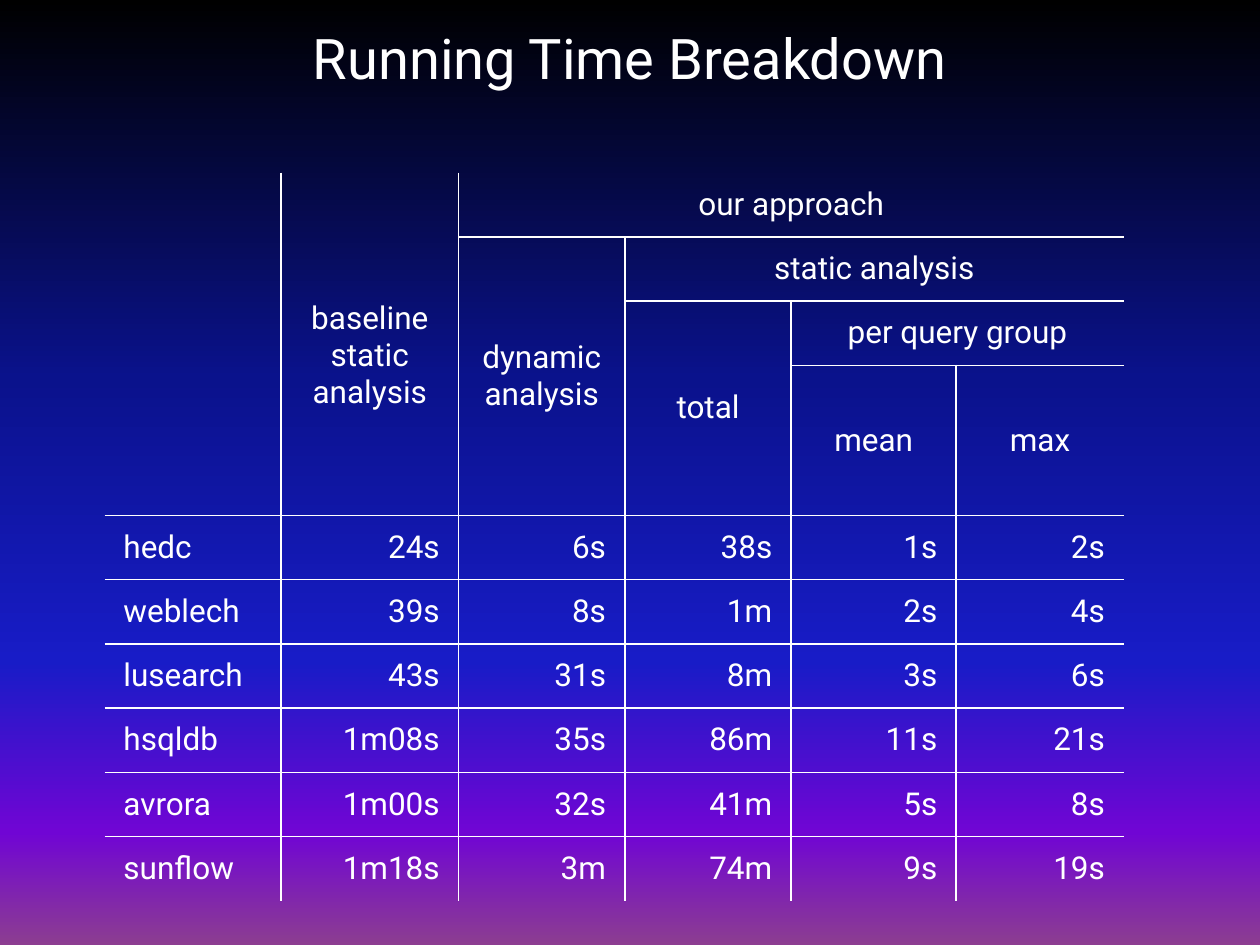
from lxml.etree import SubElement
from pptx import Presentation
from pptx.dml.color import RGBColor
from pptx.enum.text import MSO_ANCHOR as Anchor, PP_ALIGN as Align
from pptx.oxml.ns import qn
from pptx.util import Inches, Pt

WHITE = "FFFFFF"
NO_STYLE = "{2D5ABB26-0587-4C30-8999-92F81FD0307C}"
BACKDROP = [(0, "000000"), (40, "0A128C"), (70, "181CC7"), (88, "7005D4"), (100, "8C3D91")]
COLUMN_WIDTHS = [1.4, 1.41, 1.32, 1.32, 1.31, 1.33]
ROW_HEIGHTS = [0.51] * 3 + [1.19] + [0.51] * 6
HEADINGS = [
    (0, 0, 4, 1, ""),
    (0, 1, 4, 1, "baseline static analysis"),
    (0, 2, 1, 4, "our approach"),
    (1, 2, 3, 1, "dynamic\vanalysis"),
    (1, 3, 1, 3, "static analysis"),
    (2, 3, 2, 1, "total"),
    (2, 4, 1, 2, "per query group"),
    (3, 4, 1, 1, "mean"),
    (3, 5, 1, 1, "max"),
]
TIMINGS = [
    ("hedc", "24s", "6s", "38s", "1s", "2s"),
    ("weblech", "39s", "8s", "1m", "2s", "4s"),
    ("lusearch", "43s", "31s", "8m", "3s", "6s"),
    ("hsqldb", "1m08s", "35s", "86m", "11s", "21s"),
    ("avrora", "1m00s", "32s", "41m", "5s", "8s"),
    ("sunflow", "1m18s", "3m", "74m", "9s", "19s"),
]
CELL_FORMAT = {
    "margin_left": Inches(0.15),
    "margin_right": Inches(0.15),
    "margin_top": Inches(0.05),
    "margin_bottom": Inches(0.05),
    "vertical_anchor": Anchor.MIDDLE,
}


def color(hex_string):
    """Turn a hex string into a colour."""
    return RGBColor.from_string(hex_string)


def apply_format(target, values):
    """Set every attribute named in values on target."""
    for name, value in values.items():
        setattr(target, name, value)


def write(frame, text, size, align):
    """Put one white paragraph into a text frame."""
    paragraph = frame.paragraphs[0]
    paragraph.text = text
    paragraph.alignment = align
    apply_format(paragraph.font, {"name": "Roboto", "size": Pt(size)})
    for run in paragraph.runs:
        apply_format(run.font, {"name": "Roboto", "size": Pt(size)})
        run.font.color.rgb = color(WHITE)


def paint_background(slide):
    """Fill the slide with the vertical gradient."""
    fill = slide.background.fill
    fill.gradient()
    fill.gradient_angle = 270
    stops = slide.element.find(".//" + qn("a:gsLst"))
    for stop in list(stops):
        stops.remove(stop)
    for percent, shade in BACKDROP:
        stop = SubElement(stops, qn("a:gs"), pos=str(percent * 1000))
        SubElement(stop, qn("a:srgbClr"), val=str(color(shade)))


def add_title(slide, text):
    """Add the centred heading across the slide."""
    frame = slide.shapes.add_textbox(0, Inches(0.08), Inches(10), Inches(0.75)).text_frame
    apply_format(frame, {"word_wrap": True, "vertical_anchor": Anchor.MIDDLE})
    write(frame, text, 32, Align.CENTER)


def add_rules(cell, sides):
    """Draw one-point white rules on the given sides of a cell."""
    properties = cell._tc.get_or_add_tcPr()
    for side in sides:
        rule = SubElement(properties, qn("a:ln" + side), w=str(Pt(1)))
        SubElement(SubElement(rule, qn("a:solidFill")), qn("a:srgbClr"), val=WHITE)


def fill_block(table, row, column, height, width, text, align):
    """Merge a block, write its text and rule its inner sides."""
    bottom, right = row + height, column + width
    cell = table.cell(row, column)
    if height * width > 1:
        cell.merge(table.cell(bottom - 1, right - 1))
    write(cell.text_frame, text, 18, align)
    for r in range(row, bottom):
        for c in range(column, right):
            origin = (r, c) == (row, column)
            edges = {
                "L": column > 0 and c == column,
                "R": right < len(COLUMN_WIDTHS) and (origin or c == right - 1),
                "T": row > 0 and r == row,
                "B": bottom < len(ROW_HEIGHTS) and (origin or r == bottom - 1),
            }
            part = table.cell(r, c)
            apply_format(part, CELL_FORMAT)
            add_rules(part, [side for side, ruled in edges.items() if ruled])
            part.fill.background()


def add_timing_table(slide):
    """Add the table of running times under its nested headings."""
    frame = slide.shapes.add_table(
        len(ROW_HEIGHTS), len(COLUMN_WIDTHS), Inches(0.83), Inches(1.37),
        Inches(sum(COLUMN_WIDTHS)), Inches(sum(ROW_HEIGHTS)))
    table = frame.table
    apply_format(table, {"first_row": False, "horz_banding": False})
    frame.element.find(".//" + qn("a:tableStyleId")).text = NO_STYLE
    for column, width in zip(table.columns, COLUMN_WIDTHS):
        column.width = Inches(width)
    for row, height in zip(table.rows, ROW_HEIGHTS):
        row.height = Inches(height)
    for heading in HEADINGS:
        fill_block(table, *heading, Align.CENTER)
    for row, timing in enumerate(TIMINGS, 4):
        for column, text in enumerate(timing):
            align = Align.RIGHT if column else Align.LEFT
            fill_block(table, row, column, 1, 1, text, align)
    table.cell(0, 1).margin_top = Inches(0.24)


def main():
    """Build and save the slide."""
    deck = Presentation()
    apply_format(deck, {"slide_width": Inches(10), "slide_height": Inches(7.5)})
    slide = deck.slides.add_slide(deck.slide_layouts[6])
    paint_background(slide)
    add_title(slide, "Running Time Breakdown")
    add_timing_table(slide)
    deck.save("out.pptx")


if __name__ == "__main__":
    main()
